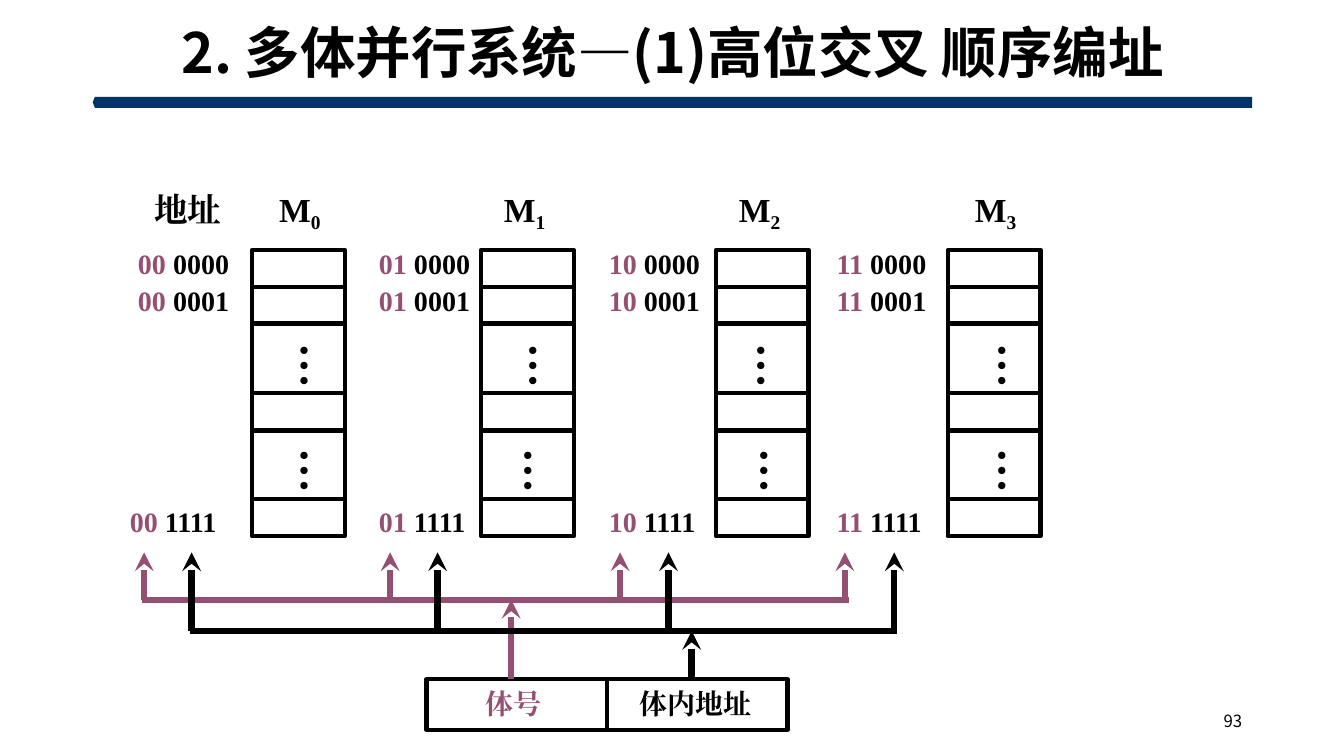
"""Builds the slide on high-order interleaved memory banks."""
from dataclasses import dataclass
from itertools import pairwise

from lxml.etree import SubElement
from pptx import Presentation
from pptx.dml.color import RGBColor
from pptx.enum.shapes import MSO_CONNECTOR, MSO_SHAPE
from pptx.enum.text import MSO_ANCHOR, MSO_AUTO_SIZE, PP_ALIGN
from pptx.oxml.ns import qn
from pptx.shapes.autoshape import Shape
from pptx.slide import Slide
from pptx.text.text import _Paragraph as Para
from pptx.util import Inches, Pt


@dataclass(frozen=True)
class Theme:
    black: RGBColor = RGBColor(0, 0, 0)
    plum: RGBColor = RGBColor(0x95, 0x4F, 0x72)
    navy: RGBColor = RGBColor(0, 0x33, 0x66)
    sans: str = "Noto Sans CJK SC"
    serif: str = "Times New Roman"
    title: float = 39.6
    dots: float = 32
    head: float = 24
    label: float = 20
    page: float = 12
    frame: float = 3
    wire: float = 4.5


@dataclass(frozen=True)
class Box:
    left: float
    top: float
    width: float
    height: float

    def place(self) -> tuple[int, int, int, int]:
        return (Inches(self.left), Inches(self.top),
                Inches(self.width), Inches(self.height))


@dataclass(frozen=True)
class Bank:
    index: str
    code: str
    left: float
    name: float
    first: float
    last: float
    upper: float
    lower: float


@dataclass(frozen=True)
class Bus:
    color: RGBColor
    start: float
    end: float
    level: float
    taps: tuple[float, ...]
    stem: float


THEME = Theme()
EDGES = (2.48, 2.85, 3.21, 3.9, 4.27, 4.95, 5.32)
WIDTH = 0.92
TIP = 5.48
FIELD = 6.74
BANKS = (
    Bank("0", "00", 2.5, 2.67, 1.27, 1.19, 2.75, 2.75),
    Bank("1", "01", 4.77, 4.9, 3.66, 3.66, 5.02, 4.97),
    Bank("2", "10", 7.1, 7.23, 5.94, 5.94, 7.28, 7.31),
    Bank("3", "11", 9.4, 9.57, 8.2, 8.2, 9.67, 9.67),
)
BUSES = (
    Bus(THEME.plum, 1.41, 8.42, 5.95, (1.43, 3.87, 6.15, 8.38), 5.07),
    Bus(THEME.black, 1.88, 8.9, 6.26, (1.9, 4.34, 6.63, 8.87), 6.86),
)


def style(para: Para, size: float, face: str = THEME.serif,
          color: RGBColor = THEME.black, bold: bool = True) -> None:
    font = para.font
    font.size, font.name, font.bold = Pt(size), face, bold
    font.color.rgb = color
    props = para._p.pPr.find(qn("a:defRPr"))
    SubElement(props, qn("a:ea")).set("typeface", face)


def write(slide: Slide, box: Box, text: str, size: float,
          color: RGBColor = THEME.black, wrap: bool = False) -> Shape:
    shape = slide.shapes.add_textbox(*box.place())
    frame = shape.text_frame
    frame.word_wrap = wrap
    frame.auto_size = MSO_AUTO_SIZE.SHAPE_TO_FIT_TEXT
    para = frame.paragraphs[0]
    para.add_run().text = text
    style(para, size, color=color)
    return shape


def draw_cell(slide: Slide, box: Box) -> None:
    cell = slide.shapes.add_shape(MSO_SHAPE.RECTANGLE, *box.place())
    cell.shadow.inherit = False
    cell.fill.background()
    cell.line.color.rgb = THEME.black
    cell.line.width = Pt(THEME.frame)


def draw_wire(slide: Slide, start: tuple[float, float],
              end: tuple[float, float], color: RGBColor,
              arrow: bool = True) -> None:
    wire = slide.shapes.add_connector(
        MSO_CONNECTOR.STRAIGHT, *map(Inches, start + end))
    wire.line.color.rgb = color
    wire.line.width = Pt(THEME.wire)
    if arrow:
        SubElement(wire.line._get_or_add_ln(),
                   qn("a:tailEnd")).set("type", "stealth")
    SubElement(wire._element.spPr, qn("a:effectLst"))


def draw_dots(slide: Slide, left: float, top: float) -> None:
    dots = write(slide, Box(left, top, 0.73, 0.55), "…", THEME.dots)
    dots.text_frame._txBody.bodyPr.set("vert", "eaVert")


def draw_bank(slide: Slide, bank: Bank) -> None:
    name = write(slide, Box(bank.name, 1.83, 0.63, 0.5), "M", THEME.head)
    sub = name.text_frame.paragraphs[0].add_run()
    sub.text = bank.index
    sub.font._element.set("baseline", "-20000")
    for top, base in pairwise(EDGES):
        draw_cell(slide, Box(bank.left, top, WIDTH, base - top))
    draw_dots(slide, bank.upper, 3.31)
    draw_dots(slide, bank.lower, 4.35)
    rows = ((bank.first, 2.4, "0000"), (bank.first, 2.76, "0001"),
            (bank.last, 4.96, "1111"))
    for left, top, word in rows:
        label = write(slide, Box(left, top, 1.15, 0.43), bank.code,
                      THEME.label, wrap=True)
        para = label.text_frame.paragraphs[0]
        para.runs[0].font.color.rgb = THEME.plum
        para.add_run().text = f" {word}"


def draw_bus(slide: Slide, bus: Bus) -> None:
    draw_wire(slide, (bus.start, bus.level), (bus.end, bus.level),
              bus.color, arrow=False)
    for tap in bus.taps:
        draw_wire(slide, (tap, bus.level), (tap, TIP), bus.color)
    draw_wire(slide, (bus.stem, FIELD), (bus.stem, bus.level), bus.color)


def draw_frame(slide: Slide) -> None:
    bar = slide.shapes.add_shape(
        MSO_SHAPE.PENTAGON, *Box(0.92, 0.96, 11.5, 0.11).place())
    bar.adjustments[0] = 0.2
    bar._element.spPr.xfrm.set("flipH", "1")
    bar.shadow.inherit = False
    bar.fill.solid()
    bar.fill.fore_color.rgb = THEME.navy
    bar.line.fill.background()
    title = slide.shapes.title
    title.left, title.top, title.width, title.height = Box(
        0.92, 0.14, 11.5, 0.82).place()
    title.text_frame.text = "2. 多体并行系统—(1)高位交叉 顺序编址"
    title.text_frame.vertical_anchor = MSO_ANCHOR.MIDDLE
    para = title.text_frame.paragraphs[0]
    para.alignment, para.line_spacing = PP_ALIGN.CENTER, 0.9
    style(para, THEME.title, THEME.sans)
    page = slide.shapes.add_textbox(*Box(9.42, 6.95, 3, 0.4).place())
    page.text_frame.word_wrap = True
    page.text_frame.vertical_anchor = MSO_ANCHOR.MIDDLE
    page.text_frame.text = "93"
    para = page.text_frame.paragraphs[0]
    para.alignment = PP_ALIGN.RIGHT
    style(para, THEME.page, THEME.sans, bold=False)


def main() -> None:
    deck = Presentation()
    deck.slide_width, deck.slide_height = Inches(13.33), Inches(7.5)
    slide = deck.slides.add_slide(deck.slide_layouts[5])
    draw_frame(slide)
    write(slide, Box(1.43, 1.83, 0.87, 0.5), "地址", THEME.head)
    for bank in BANKS:
        draw_bank(slide, bank)
    for left in (4.23, 6.02):
        draw_cell(slide, Box(left, FIELD, 1.79, 0.5))
    write(slide, Box(4.72, 6.76, 0.76, 0.43), "体号", THEME.label, THEME.plum)
    write(slide, Box(6.24, 6.76, 1.31, 0.43), "体内地址", THEME.label)
    for bus in BUSES:
        draw_bus(slide, bus)
    deck.save("out.pptx")


if __name__ == "__main__":
    main()
